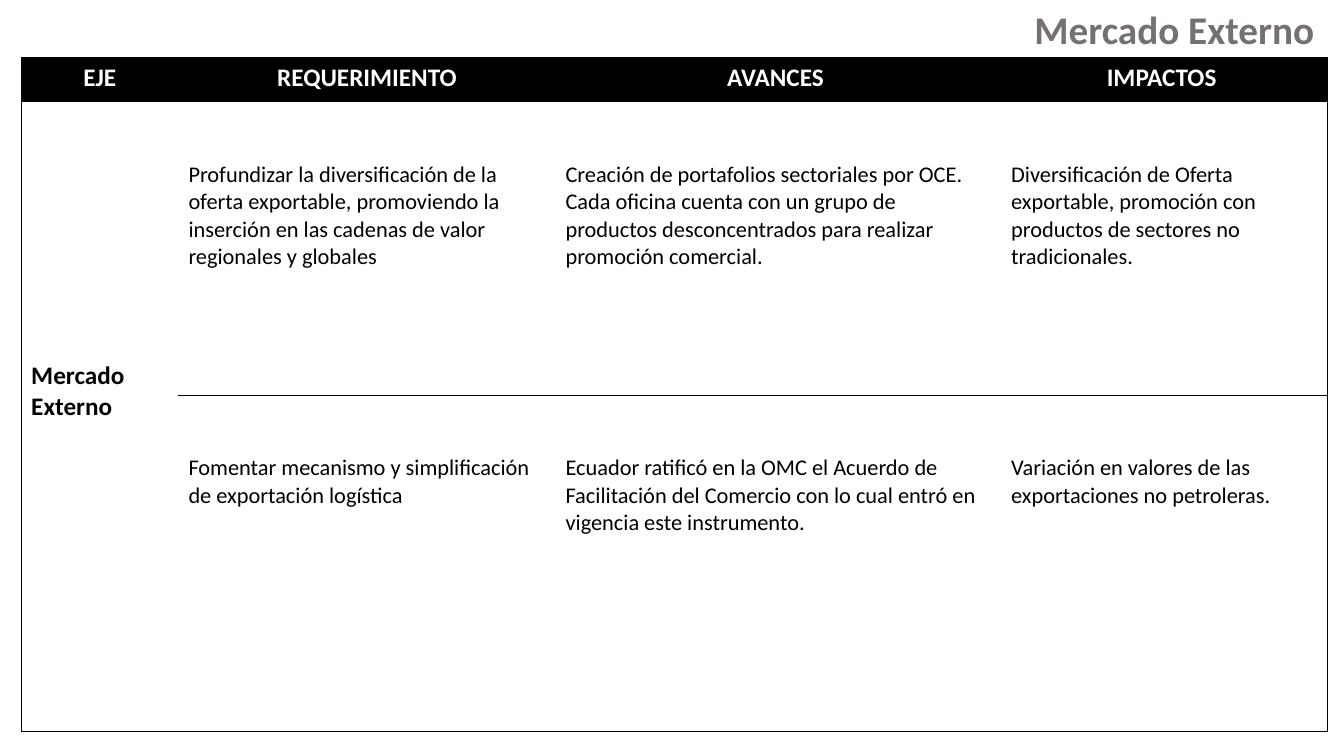
from dataclasses import dataclass

from lxml import etree
from pptx import Presentation
from pptx.dml.color import RGBColor
from pptx.enum.text import MSO_ANCHOR, PP_ALIGN
from pptx.oxml.ns import qn
from pptx.util import Inches, Pt

LEFT, CENTER, RIGHT = PP_ALIGN.LEFT, PP_ALIGN.CENTER, PP_ALIGN.RIGHT
TOP, MIDDLE = MSO_ANCHOR.TOP, MSO_ANCHOR.MIDDLE

FONT = "Calibri"
BLACK, WHITE, GRAY = "000000", "FFFFFF", "767171"
SLIDE_WIDTH, SLIDE_HEIGHT = 13.33, 7.5
TABLE_LEFT, TABLE_TOP = 0.21, 0.57
COLUMN_WIDTHS = [1.56, 3.74, 4.42, 3.24]
ROW_HEIGHTS = [0.44, 2.91, 3.34]
LAST_COLUMN = len(COLUMN_WIDTHS) - 1
AXIS_COLUMN = 0
BORDER_WIDTH = Pt(0.5)


@dataclass(frozen=True)
class TextStyle:
    size: int
    color: str
    bold: bool
    alignment: int


@dataclass(frozen=True)
class CellStyle:
    text: TextStyle
    anchor: int = TOP
    top: float = 0.05
    bottom: float = 0.05


TITLE = TextStyle(28, GRAY, True, RIGHT)
HEADER = CellStyle(TextStyle(18, WHITE, True, CENTER))
AXIS = CellStyle(TextStyle(18, BLACK, True, LEFT), MIDDLE, bottom=0.55)
BODY = CellStyle(TextStyle(16, BLACK, False, LEFT), top=0.59)

ROWS = [
    ["EJE", "REQUERIMIENTO", "AVANCES ", "IMPACTOS "],
    [
        "Mercado Externo",
        "Profundizar la diversificación de la oferta exportable, promoviendo "
        "la inserción en las cadenas de valor regionales y globales",
        "Creación de portafolios sectoriales por OCE. Cada oficina cuenta con un "
        "grupo de productos desconcentrados para realizar promoción comercial.",
        "Diversificación de Oferta exportable, promoción con productos de "
        "sectores no tradicionales.",
    ],
    [
        "",
        "Fomentar mecanismo y simplificación de exportación logística",
        "Ecuador ratificó en la OMC el Acuerdo de Facilitación del Comercio "
        "con lo cual entró en vigencia este instrumento.",
        "Variación en valores de las exportaciones no petroleras.",
    ],
]


def rgb(color: str) -> RGBColor:
    return RGBColor.from_string(color)


def write_text(text_frame, text: str, style: TextStyle) -> None:
    text_frame.text = text
    paragraph = text_frame.paragraphs[0]
    paragraph.alignment = style.alignment
    for run in paragraph.runs:
        run.font.name = FONT
        run.font.size = Pt(style.size)
        run.font.bold = style.bold
        run.font.color.rgb = rgb(style.color)


def set_borders(cell, visible: dict[str, bool]) -> None:
    properties = cell._tc.get_or_add_tcPr()
    for side, shown in visible.items():
        line = etree.SubElement(properties, qn(f"a:ln{side}"), w=str(BORDER_WIDTH))
        if shown:
            fill = etree.SubElement(line, qn("a:solidFill"))
            etree.SubElement(fill, qn("a:srgbClr"), val=BLACK)
        else:
            etree.SubElement(line, qn("a:noFill"))


def style_for(row: int, column: int) -> CellStyle:
    if row == 0:
        return HEADER
    return AXIS if column == AXIS_COLUMN else BODY


def fill_cell(cell, row: int, column: int) -> None:
    style = style_for(row, column)
    inside_axis = column == AXIS_COLUMN and row == 2
    set_borders(cell, {
        "L": column == 0,
        "R": column == LAST_COLUMN,
        "T": not inside_axis,
        "B": True,
    })
    if row == 0:
        cell.fill.solid()
        cell.fill.fore_color.rgb = rgb(BLACK)
    else:
        cell.fill.background()
    cell.vertical_anchor = style.anchor
    cell.margin_top = Inches(style.top)
    cell.margin_bottom = Inches(style.bottom)
    if not inside_axis:
        write_text(cell.text_frame, ROWS[row][column], style.text)


def add_title(slide) -> None:
    box = slide.shapes.add_textbox(
        Inches(SLIDE_WIDTH * 0.6684), 0,
        Inches(SLIDE_WIDTH * 0.3233), Inches(SLIDE_HEIGHT * 0.076),
    )
    box.text_frame.word_wrap = True
    write_text(box.text_frame, "Mercado Externo ", TITLE)


def add_progress_table(slide) -> None:
    table = slide.shapes.add_table(
        len(ROW_HEIGHTS), len(COLUMN_WIDTHS),
        Inches(TABLE_LEFT), Inches(TABLE_TOP),
        Inches(sum(COLUMN_WIDTHS)), Inches(sum(ROW_HEIGHTS)),
    ).table
    table.horz_banding = False
    for column, width in zip(table.columns, COLUMN_WIDTHS):
        column.width = Inches(width)
    for row, height in zip(table.rows, ROW_HEIGHTS):
        row.height = Inches(height)
    table.cell(1, AXIS_COLUMN).merge(table.cell(2, AXIS_COLUMN))
    for row in range(len(ROW_HEIGHTS)):
        for column in range(len(COLUMN_WIDTHS)):
            fill_cell(table.cell(row, column), row, column)


def main() -> None:
    presentation = Presentation()
    presentation.slide_width = Inches(SLIDE_WIDTH)
    presentation.slide_height = Inches(SLIDE_HEIGHT)
    slide = presentation.slides.add_slide(presentation.slide_layouts[6])
    add_progress_table(slide)
    add_title(slide)
    presentation.save("out.pptx")


if __name__ == "__main__":
    main()
